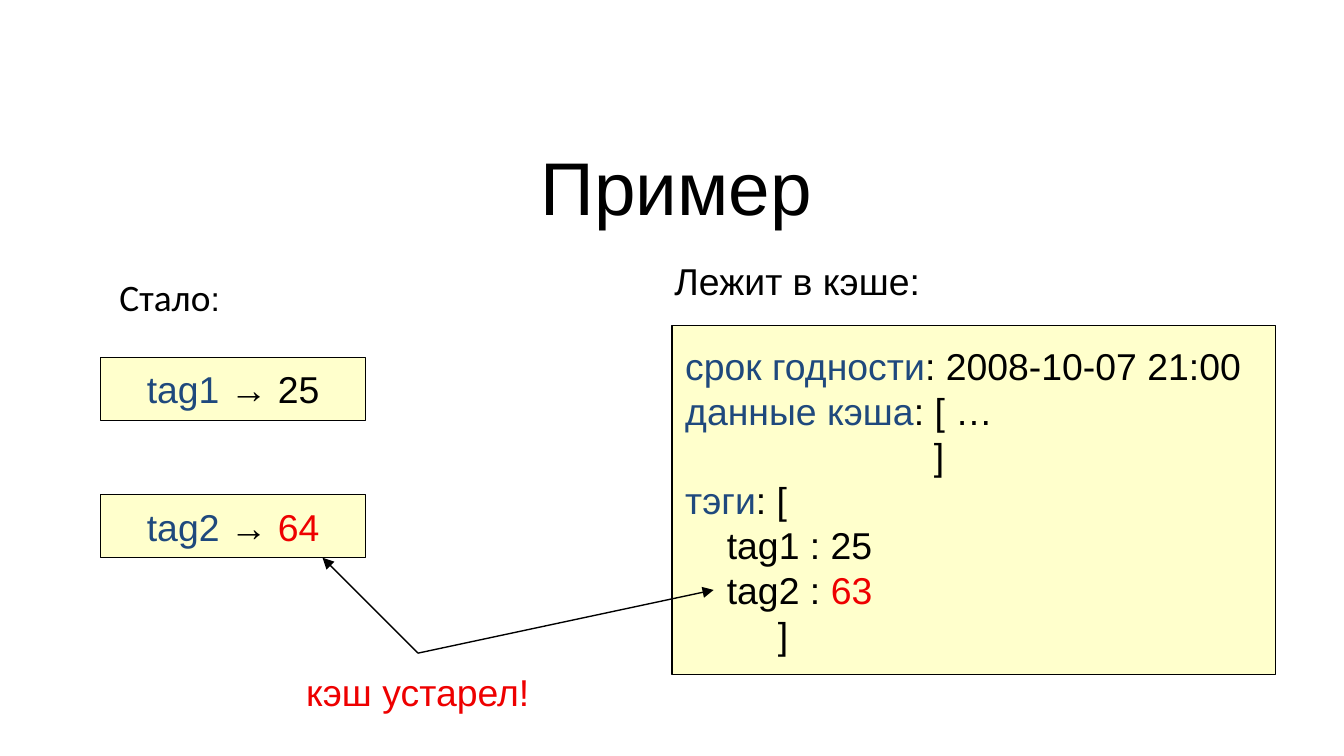
from pptx import Presentation
from pptx.dml.color import RGBColor
from pptx.enum.shapes import MSO_CONNECTOR, MSO_SHAPE
from pptx.enum.text import MSO_ANCHOR, MSO_AUTO_SIZE, PP_ALIGN
from pptx.oxml.ns import qn
from pptx.util import Inches, Pt
from lxml import etree

BLACK = RGBColor(0x00, 0x00, 0x00)
BLUE = RGBColor(0x1F, 0x49, 0x7D)
RED = RGBColor(0xEE, 0x00, 0x00)
CREAM = RGBColor(0xFF, 0xFF, 0xCC)


def write(p, text, size=20, font="Arial", color=BLACK, align=PP_ALIGN.LEFT, indent=0):
    """Add one run to a paragraph; indent is its left margin in inches."""
    p.alignment = align
    if indent:
        p._p.get_or_add_pPr().set("marL", str(Inches(indent)))
    r = p.add_run()
    r.text = text
    r.font.size = Pt(size)
    r.font.name = font
    r.font.color.rgb = color


def add_box(left, top, width, height):
    """Add a cream box with a thin black outline and return its text frame."""
    box = s.shapes.add_shape(MSO_SHAPE.RECTANGLE, Inches(left), Inches(top),
                             Inches(width), Inches(height))
    box.shadow.inherit = False
    box.fill.solid()
    box.fill.fore_color.rgb = CREAM
    box.line.color.rgb = BLACK
    box.line.width = Pt(0.75)
    tf = box.text_frame
    tf.word_wrap = True
    tf.vertical_anchor = MSO_ANCHOR.MIDDLE
    return tf


# Widescreen 16:9 slide
prs = Presentation()
prs.slide_width = Inches(10)
prs.slide_height = Inches(10 * 9 / 16)
s = prs.slides.add_slide(prs.slide_layouts[5])

# Title
title = s.shapes.title
title.left, title.top = Inches(0.53), Inches(1)
title.width, title.height = Inches(9), Inches(0.76)
title.text_frame.vertical_anchor = MSO_ANCHOR.MIDDLE
write(title.text_frame.paragraphs[0], "Пример", size=40, align=PP_ALIGN.CENTER)

# Captions: left, top, width, runs
captions = [
    (0.79, 1.99, 0.95, [("Стало", {"font": "Calibri"}), (":", {"size": 18})]),
    (4.92, 1.87, 2.03, [("Лежит в кэше:", {})]),
    (2.18, 4.93, 1.87, [("кэш устарел!", {"color": RED})]),
]
for left, top, width, runs in captions:
    tf = s.shapes.add_textbox(Inches(left), Inches(top), Inches(width), Inches(0.44)).text_frame
    tf.word_wrap = False
    tf.auto_size = MSO_AUTO_SIZE.SHAPE_TO_FIT_TEXT
    for text, style in runs:
        write(tf.paragraphs[0], text, **style)

# Current tag values
tags = [("tag1 ", "25", BLACK), ("tag2 ", "64", RED)]
for i, (tag, value, color) in enumerate(tags):
    p = add_box(0.75, 2.66 + 1.02 * i, 1.97, 0.47).paragraphs[0]
    for text, run_color in [(tag, BLUE), ("→ ", BLACK), (value, color)]:
        write(p, text, color=run_color, align=PP_ALIGN.CENTER)

# Cache entry: indent and runs of each line
entry = [
    (0, [("срок годности", BLUE), (": 2008-10-07 21:00", BLACK)]),
    (0, [("данные кэша", BLUE), (": [ …", BLACK)]),
    (1.85, [("]", BLACK)]),
    (0, [("тэги", BLUE), (": [", BLACK)]),
    (0.31, [("tag1 : 25", BLACK)]),
    (0.31, [("tag2 : ", BLACK), ("63", RED)]),
    (0.69, [("]", BLACK)]),
]
tf = add_box(5, 2.42, 4.49, 2.6)
for i, (indent, runs) in enumerate(entry):
    p = tf.add_paragraph() if i else tf.paragraphs[0]
    for text, color in runs:
        write(p, text, color=color, indent=indent)

# Arrows from the shared corner to the two differing values
for x, y in [(2.4, 4.15), (5.31, 4.39)]:
    arrow = s.shapes.add_connector(MSO_CONNECTOR.STRAIGHT, Inches(3.11), Inches(4.86),
                                   Inches(x), Inches(y))
    arrow.line.color.rgb = BLACK
    arrow.line.width = Pt(0.75)
    etree.SubElement(arrow.line._get_or_add_ln(), qn("a:tailEnd"), type="triangle")
    etree.SubElement(arrow._element.spPr, qn("a:effectLst"))

prs.save("out.pptx")
